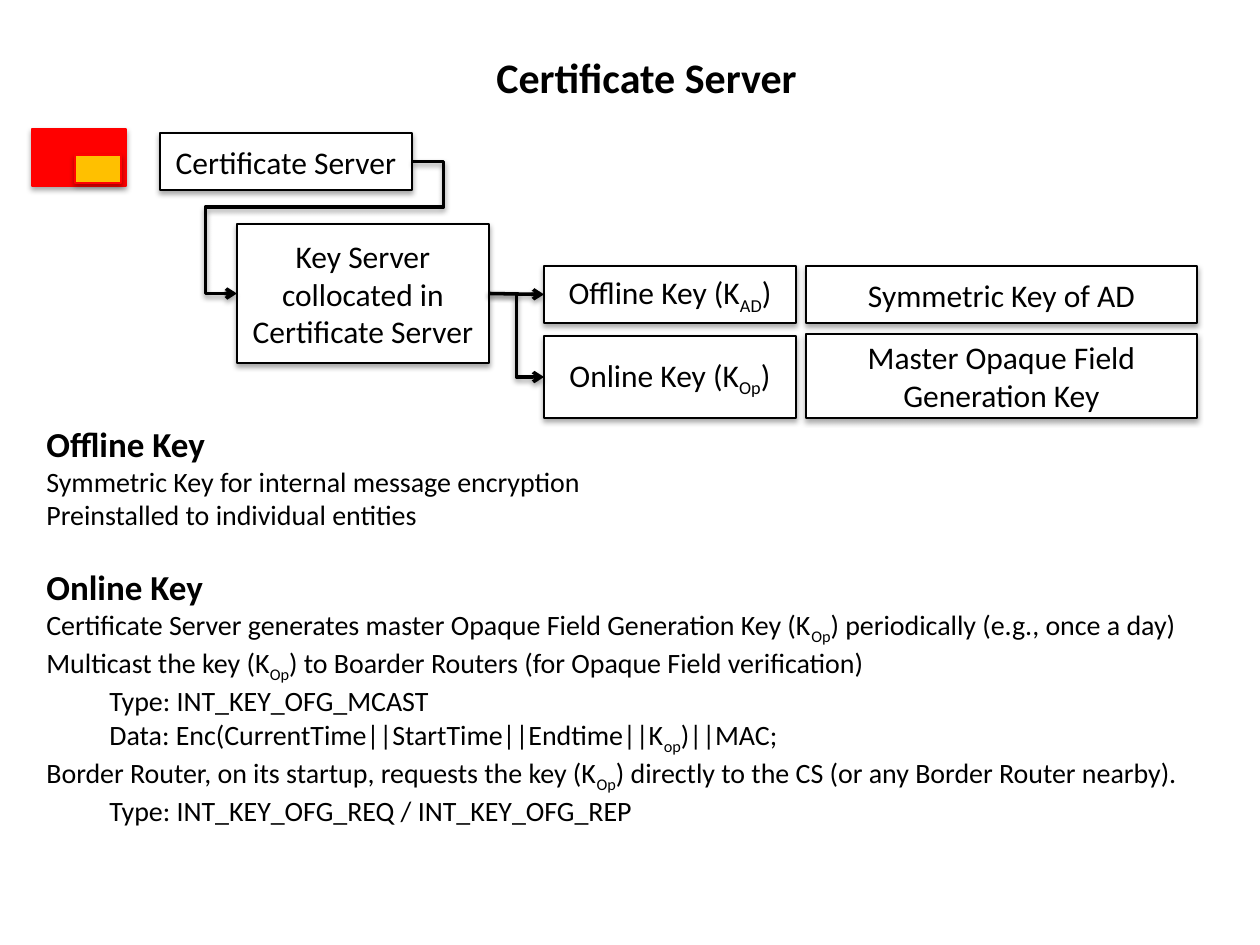
from pptx import Presentation
from pptx.dml.color import RGBColor
from pptx.enum.shapes import MSO_CONNECTOR, MSO_SHAPE
from pptx.enum.text import MSO_ANCHOR, PP_ALIGN
from pptx.oxml import parse_xml
from pptx.oxml.ns import nsdecls, qn
from pptx.util import Emu, Pt

RECT = MSO_SHAPE.RECTANGLE
STRAIGHT, ELBOW = MSO_CONNECTOR.STRAIGHT, MSO_CONNECTOR.ELBOW
CENTER, MIDDLE = PP_ALIGN.CENTER, MSO_ANCHOR.MIDDLE
LEFT_SITE, RIGHT_SITE = 1, 3
PX = 914400 / 126
COLORS = {k: RGBColor.from_string(v) for k, v in {
    "black": "000000", "white": "FFFFFF", "red": "FF0000", "amber": "FFC000"}.items()}


def px(*lengths):
    return [Emu(round(n * PX)) for n in lengths]


def write(p, text, size, bold=False):
    """Fill a paragraph; parts between tildes become subscripts."""
    p.font.name, p.font.size, p.font.bold = "Calibri", Pt(size), bold
    p.font.color.rgb = COLORS["black"]
    for i, part in enumerate(text.split("~")):
        r = p.add_run()
        r.text = part
        if i % 2:
            r.font._element.set("baseline", "-25000")


prs = Presentation()
prs.slide_width, prs.slide_height = px(1260, 945)
s = prs.slides.add_slide(prs.slide_layouts[6])

# Title
tf = s.shapes.add_textbox(*px(484, 45, 330, 63)).text_frame
write(tf.paragraphs[0], "Certificate Server", 24, True)

# Boxes keep the theme's soft shadow
boxes = [
    ("server", (160, 133, 252, 57), "white", "black", "Certificate Server"),
    ("marker", (32, 129, 94, 57), "red", "red", ""),
    ("inner marker", (75, 155, 46, 28), "amber", "red", ""),
    ("key server", (237, 224, 252, 139), "white", "black",
     "Key Server collocated in Certificate Server"),
    ("offline", (544, 266, 252, 57), "white", "black", "Offline Key (K~AD~)"),
    ("online", (544, 336, 252, 82), "white", "black", "Online Key (K~Op~)"),
    ("symmetric", (806, 266, 391, 57), "white", "black", "Symmetric Key of AD"),
    ("master", (806, 334, 391, 84), "white", "black", "Master Opaque Field Generation Key"),
]
shapes = {}
for name, box, fill, line, text in boxes:
    sp = shapes[name] = s.shapes.add_shape(RECT, *px(*box))
    sp.fill.solid()
    sp.fill.fore_color.rgb = COLORS[fill]
    sp.line.color.rgb = COLORS[line]
    sp.line.width = Pt(0.75)
    if text:
        sp.text_frame.vertical_anchor = MIDDLE
        p = sp.text_frame.paragraphs[0]
        p.alignment = CENTER
        write(p, text, 18)

# Arrows, also with the theme's shadow
arrows = [
    ("key server", "offline", STRAIGHT, ()),
    ("key server", "online", ELBOW, ()),
    ("server", "key server", ELBOW, (-18100, 34600, 118100)),
]
for start, end, kind, bends in arrows:
    c = s.shapes.add_connector(kind, 0, 0, 0, 0)
    c.begin_connect(shapes[start], RIGHT_SITE)
    c.end_connect(shapes[end], LEFT_SITE)
    c.line.color.rgb = COLORS["black"]
    c.line.width = Pt(2)
    c.line._get_or_add_ln().append(parse_xml(f'<a:tailEnd {nsdecls("a")} type="arrow"/>'))
    if bends:
        geom = c._element.spPr.find(qn("a:prstGeom"))
        geom.set("prst", "bentConnector5")
        guides = geom.get_or_add_avLst()
        for i, bend in enumerate(bends, 1):
            guides.append(parse_xml(f'<a:gd {nsdecls("a")} name="adj{i}" fmla="val {bend}"/>'))

# Explanation: heading, then (indent level, text) lines
sections = [
    ("Offline Key", [
        (0, "Symmetric Key for internal message encryption"),
        (0, "Preinstalled to individual entities")]),
    ("Online Key", [
        (0, "Certificate Server generates master Opaque Field Generation Key (K~Op~) "
            "periodically (e.g., once a day)"),
        (0, "Multicast the key (K~Op~) to Boarder Routers (for Opaque Field verification)"),
        (1, "Type: INT_KEY_OFG_MCAST"),
        (1, "Data: Enc(CurrentTime||StartTime||Endtime||K~op~)||MAC;"),
        (0, "Border Router, on its startup, requests the key (K~Op~) directly to the CS "
            "(or any Border Router nearby)."),
        (1, "Type: INT_KEY_OFG_REQ / INT_KEY_OFG_REP")]),
]
tf = s.shapes.add_textbox(*px(34, 416, 1215, 437)).text_frame
tf.word_wrap = True
p = tf.paragraphs[0]
for i, (heading, lines) in enumerate(sections):
    if i:
        p = tf.add_paragraph()
        p.space_before = Pt(19.5)
    write(p, heading, 20, True)
    for level, text in lines:
        p = tf.add_paragraph()
        p.level = level
        write(p, text, 16)

prs.save("out.pptx")
